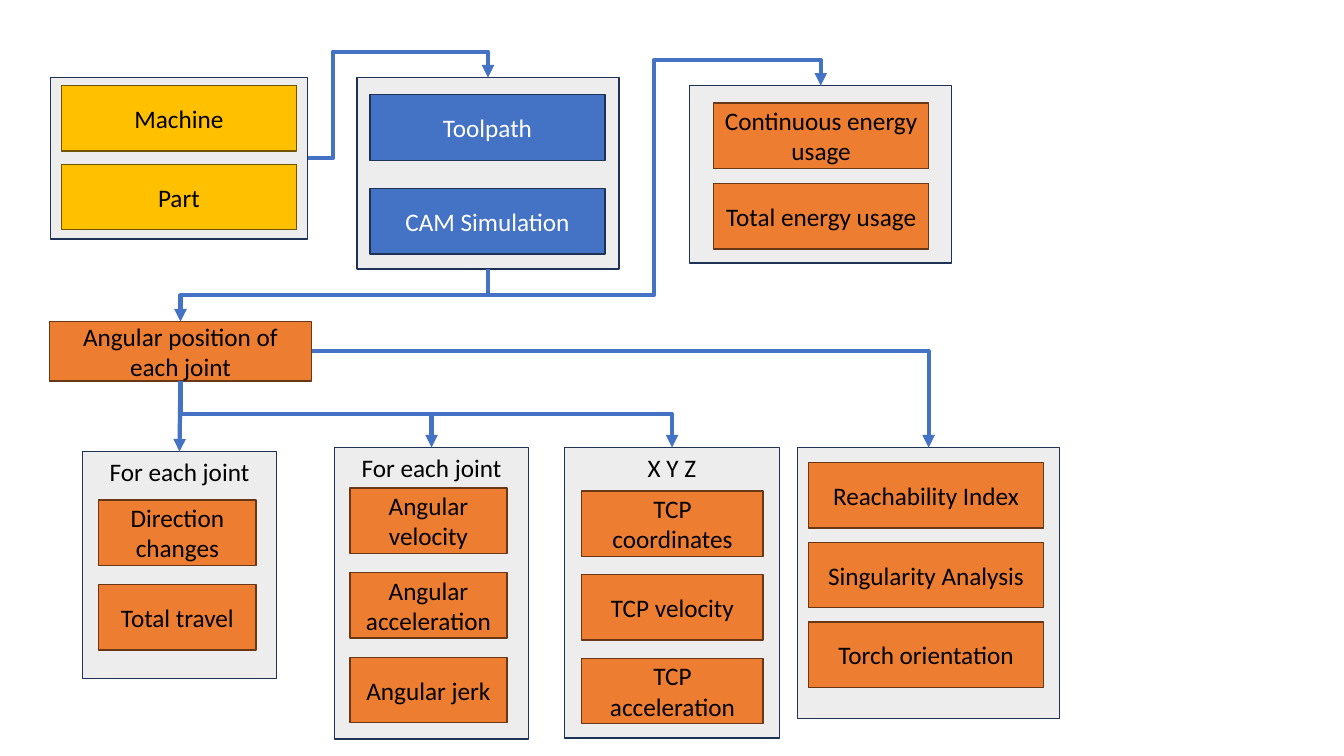
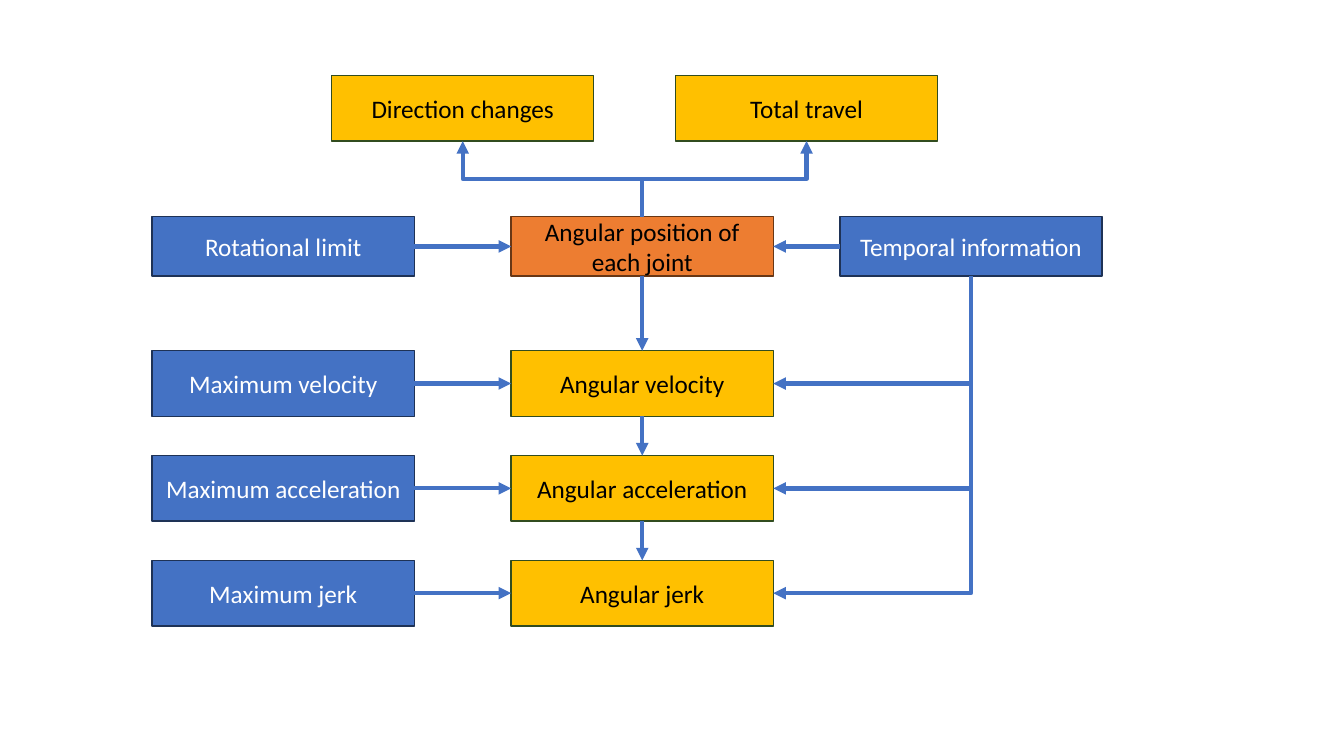
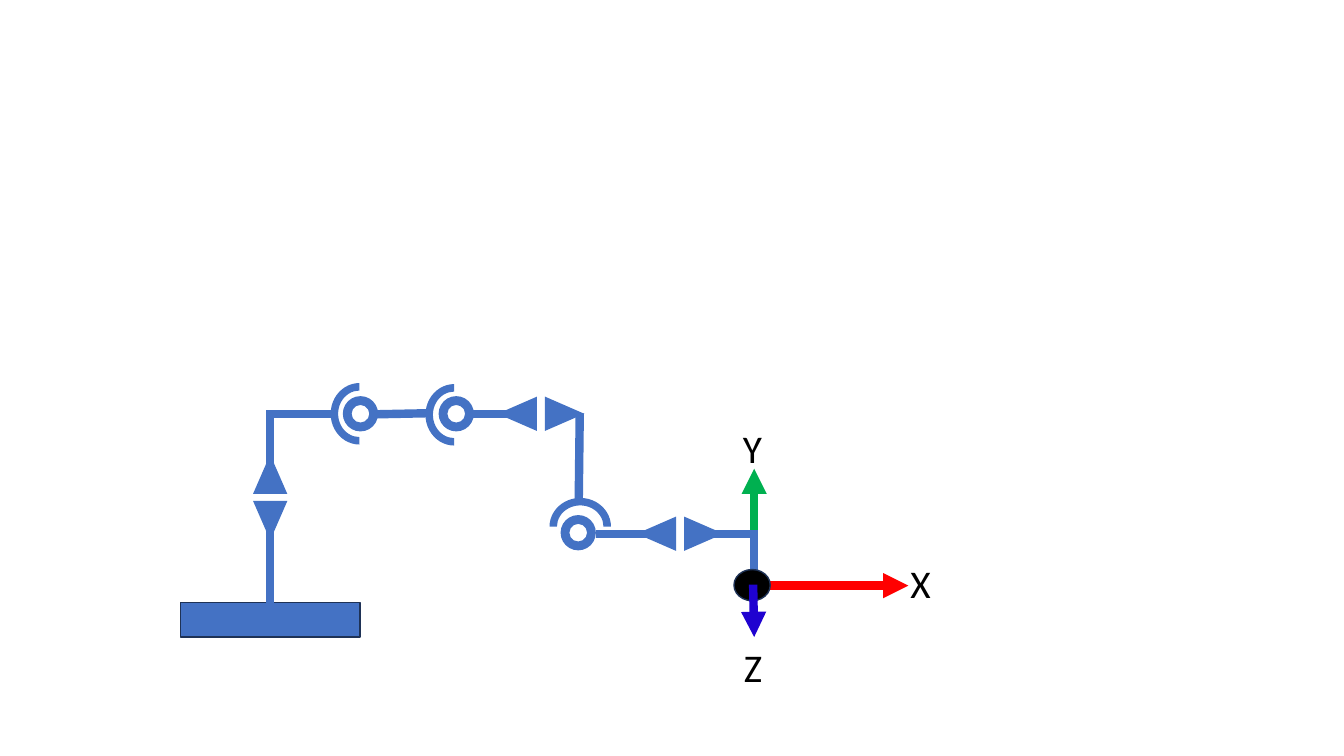
from lxml.etree import SubElement
from pptx import Presentation
from pptx.dml.color import RGBColor
from pptx.enum.shapes import MSO_CONNECTOR, MSO_SHAPE
from pptx.enum.text import MSO_ANCHOR, MSO_AUTO_SIZE, PP_ALIGN
from pptx.oxml.ns import qn
from pptx.util import Inches, Pt

FONT = "Calibri"
BLUE, NAVY, BLACK, WHITE = "4472C4", "1E3256", "000000", "FFFFFF"
RED, GREEN, VIOLET = "FF0000", "00B050", "1F02D0"
PANEL_GREY, PANEL_OPACITY = "D0CECE", 36000
TOP, LEFT, BOTTOM, RIGHT = range(4)
YELLOW_STYLE = ("FFC000", "705400", BLACK)
RESULT_STYLE = ("FFC000", "314C1F", BLACK)
ORANGE_STYLE = ("ED7D31", "683715", BLACK)
BLUE_STYLE = (BLUE, NAVY, WHITE)
ITEM_HEIGHT = 0.65


def rgb(code):
    """Turn a hex string into a colour."""
    return RGBColor.from_string(code)


def add_text(frame, text, size, color, align):
    """Write one line of formatted text into a frame."""
    paragraph = frame.paragraphs[0]
    paragraph.alignment = align
    run = paragraph.add_run()
    run.text = text
    run.font.name = FONT
    run.font.size = Pt(size)
    run.font.color.rgb = rgb(color)


def add_outline(slide, preset, box, fill, edge=None, rotation=0):
    """Draw a preset shape with a plain fill and an optional edge."""
    shape = slide.shapes.add_shape(preset, *map(Inches, box))
    shape.shadow.inherit = False
    shape.fill.solid()
    shape.fill.fore_color.rgb = rgb(fill)
    shape.rotation = rotation
    if edge:
        shape.line.color.rgb = rgb(edge)
        shape.line.width = Pt(1)
    else:
        shape.line.fill.background()
    return shape


def add_item(slide, box, text, style):
    """Draw a labelled rectangle of the flow chart."""
    fill, edge, color = style
    item = add_outline(slide, MSO_SHAPE.RECTANGLE, box, fill, edge)
    item.text_frame.word_wrap = True
    add_text(item.text_frame, text, 18, color, PP_ALIGN.CENTER)
    return item


def add_panel(slide, box, inset, item_width, step, entries, style, caption=None):
    """Draw a pale panel with a column of items inside it."""
    panel = add_outline(slide, MSO_SHAPE.RECTANGLE, box, PANEL_GREY, NAVY)
    tint = panel.fill._xPr.find(qn("a:solidFill"))[0]
    SubElement(tint, qn("a:alpha")).set("val", str(PANEL_OPACITY))
    if caption:
        panel.text_frame.word_wrap = True
        panel.text_frame.vertical_anchor = MSO_ANCHOR.TOP
        add_text(panel.text_frame, caption, 18, BLACK, PP_ALIGN.CENTER)
    left, top = box[0] + inset[0], box[1] + inset[1]
    for row, entry in enumerate(entries):
        add_item(slide, (left, top + row * step, item_width, ITEM_HEIGHT), entry, style)
    return panel


def style_line(line, color, width, arrow):
    """Colour a connector, drop its shadow and add its arrowhead."""
    line.line.color.rgb = rgb(color)
    line.line.width = Pt(width)
    if arrow:
        SubElement(line.line._get_or_add_ln(), qn("a:tailEnd")).set("type", "triangle")
    SubElement(line._element.spPr, qn("a:effectLst"))


def join(slide, kind, source, source_side, target, target_side):
    """Connect the sides of two rectangles with an arrow."""
    arrow = slide.shapes.add_connector(kind, 0, 0, 0, 0)
    arrow.begin_connect(source, source_side)
    arrow.end_connect(target, target_side)
    style_line(arrow, BLUE, 3, True)
    return arrow


def add_arrow(slide, source, source_side, target, target_side):
    """Join two rectangles with a straight arrow."""
    join(slide, MSO_CONNECTOR.STRAIGHT, source, source_side, target, target_side)


def add_elbow(slide, source, source_side, target, target_side, *bends):
    """Join two rectangles with a bent arrow, each bend a share of the span."""
    elbow = join(slide, MSO_CONNECTOR.ELBOW, source, source_side, target, target_side)
    across, down = elbow.end_x - elbow.begin_x, elbow.end_y - elbow.begin_y
    center_x = (elbow.begin_x + elbow.end_x) // 2
    center_y = (elbow.begin_y + elbow.end_y) // 2
    width, height = abs(across), abs(down)
    flips, turn = (across < 0, down < 0), 0
    if source_side in (TOP, BOTTOM):
        width, height = height, width
        flips, turn = (down < 0, across > 0), 90
    elbow.left, elbow.top = center_x - width // 2, center_y - height // 2
    elbow.width, elbow.height = width, height
    frame = elbow._element.spPr.find(qn("a:xfrm"))
    frame.set("rot", str(turn * 60000))
    for name, flipped in zip(("flipH", "flipV"), flips):
        frame.set(name, str(int(flipped)))
    geometry = elbow._element.spPr.find(qn("a:prstGeom"))
    geometry.set("prst", f"bentConnector{len(bends) + 2}")
    guides = geometry.find(qn("a:avLst"))
    for number, bend in enumerate(bends, 1):
        guide = SubElement(guides, qn("a:gd"))
        guide.set("name", f"adj{number}")
        guide.set("fmla", f"val {round(bend * 100000)}")


def build_overview(slide):
    """Lay out the flow from inputs through simulation to results."""
    inputs = add_panel(slide, (0.5, 0.77, 2.55, 1.6), (0.11, 0.08), 2.33, 0.78,
                       ["Machine", "Part"], YELLOW_STYLE)
    simulation = add_panel(slide, (3.54, 0.77, 2.6, 1.9), (0.13, 0.17), 2.33, 0.93,
                           ["Toolpath", "CAM Simulation"], BLUE_STYLE)
    energy = add_panel(slide, (6.84, 0.85, 2.6, 1.76), (0.24, 0.17), 2.13, 0.8,
                       ["Continuous energy usage", "Total energy usage"], ORANGE_STYLE)
    position = add_item(slide, (0.49, 3.19, 2.6, 0.59),
                        "Angular position of each joint", ORANGE_STYLE)
    travel = add_panel(slide, (0.82, 4.48, 1.92, 2.25), (0.16, 0.48), 1.56, 0.84,
                       ["Direction changes", "Total travel"],
                       ORANGE_STYLE, "For each joint")
    motion = add_panel(slide, (3.32, 4.44, 1.92, 2.89), (0.15, 0.4), 1.56, 0.84,
                       ["Angular velocity", "Angular acceleration", "Angular jerk"],
                       ORANGE_STYLE, "For each joint")
    tool_center = add_panel(slide, (5.6, 4.44, 2.13, 2.88), (0.17, 0.43), 1.8, 0.83,
                            ["TCP coordinates", "TCP velocity", "TCP acceleration"],
                            ORANGE_STYLE, "X Y Z")
    reach = add_panel(slide, (7.91, 4.44, 2.6, 2.69), (0.11, 0.15), 2.33, 0.79,
                      ["Reachability Index", "Singularity Analysis", "Torch orientation"],
                      ORANGE_STYLE)
    add_elbow(slide, inputs, RIGHT, simulation, TOP, 0.14, 1.32)
    add_elbow(slide, simulation, BOTTOM, position, TOP, 0.5)
    add_elbow(slide, simulation, BOTTOM, energy, TOP, -0.14, 0.5, 1.14)
    add_elbow(slide, position, BOTTOM, tool_center, TOP, 0.5)
    add_elbow(slide, position, BOTTOM, motion, TOP, 0.5)
    add_elbow(slide, position, RIGHT, reach, TOP)
    add_arrow(slide, position, BOTTOM, travel, TOP)


def build_derivation(slide):
    """Lay out how joint values follow from position, limits and time."""
    width, limit_left, joint_left, time_left = 2.6, 1.51, 5.07, 8.33
    row_top, row_height = 2.15, 0.59
    position = add_item(slide, (joint_left, row_top, width, row_height),
                        "Angular position of each joint", ORANGE_STYLE)
    timing = add_item(slide, (time_left, row_top, width, row_height),
                      "Temporal information", BLUE_STYLE)
    rotation = add_item(slide, (limit_left, row_top, width, row_height),
                        "Rotational limit", BLUE_STYLE)
    add_arrow(slide, rotation, RIGHT, position, LEFT)
    add_arrow(slide, timing, LEFT, position, RIGHT)
    previous = position
    for row, quantity in enumerate(("velocity", "acceleration", "jerk")):
        top = 3.48 + 1.04 * row
        angular = add_item(slide, (joint_left, top, width, ITEM_HEIGHT),
                           f"Angular {quantity}", RESULT_STYLE)
        maximum = add_item(slide, (limit_left, top, width, ITEM_HEIGHT),
                           f"Maximum {quantity}", BLUE_STYLE)
        add_arrow(slide, maximum, RIGHT, angular, LEFT)
        add_arrow(slide, previous, BOTTOM, angular, TOP)
        add_elbow(slide, timing, BOTTOM, angular, RIGHT)
        previous = angular
    for left, summary in ((3.29, "Direction changes"), (6.7, "Total travel")):
        outcome = add_item(slide, (left, 0.75, width, ITEM_HEIGHT), summary, RESULT_STYLE)
        add_elbow(slide, position, TOP, outcome, BOTTOM, 0.5)


def add_link(slide, start, end, color=BLUE, arrow=False):
    """Draw a thick straight link of the robot or an axis arrow."""
    link = slide.shapes.add_connector(MSO_CONNECTOR.STRAIGHT, *map(Inches, start + end))
    style_line(link, color, 6, arrow)
    return link


def add_twist_joint(slide, left, top, vertical=False):
    """Draw two triangles that point away from each other."""
    shift = (0, 0.46) if vertical else (0.47, 0)
    turns = (0, 180) if vertical else (270, 90)
    for side, turn in enumerate(turns):
        box = (left + side * shift[0], top + side * shift[1], 0.34, 0.39)
        add_outline(slide, MSO_SHAPE.ISOSCELES_TRIANGLE, box, BLUE, rotation=turn)


def add_hinge_joint(slide, left, top, ring_shift, turn):
    """Draw a ring with an arc around one half of it."""
    ring_box = (left + ring_shift[0], top + ring_shift[1], 0.35, 0.35)
    add_outline(slide, MSO_SHAPE.DONUT, ring_box, BLUE)
    arc = add_outline(slide, MSO_SHAPE.BLOCK_ARC, (left, top, 0.61, 0.57), BLUE, rotation=turn)
    for index, value in enumerate((108, 0, 0.13)):
        arc.adjustments[index] = value


def add_axis_label(slide, left, top, text):
    """Write the letter of an axis."""
    label = slide.shapes.add_textbox(*map(Inches, (left, top, 0.39, 0.57)))
    label.text_frame.word_wrap = False
    label.text_frame.auto_size = MSO_AUTO_SIZE.SHAPE_TO_FIT_TEXT
    add_text(label.text_frame, text, 28, BLACK, PP_ALIGN.LEFT)


def build_robot(slide):
    """Draw the joint scheme of the robot and its tool axes."""
    add_link(slide, (7.6, 5.81), (9.01, 5.81), RED, True)
    add_link(slide, (7.48, 5.77), (7.48, 4.65), GREEN, True)
    base = add_outline(slide, MSO_SHAPE.RECTANGLE, (1.79, 5.98, 1.78, 0.34), BLUE, NAVY)
    add_link(slide, (2.68, 5.98), (2.68, 4.97)).begin_connect(base, TOP)
    for start, end in (
        ((2.68, 4.65), (2.68, 4.09)),
        ((3.31, 4.11), (2.64, 4.11)),
        ((3.74, 4.11), (4.24, 4.1)),
        ((5.03, 4.11), (4.66, 4.11)),
        ((5.75, 4.1), (5.74, 4.98)),
        ((6.41, 5.3), (5.91, 5.3)),
        ((7.06, 5.3), (7.52, 5.3)),
        ((7.48, 5.78), (7.48, 5.29)),
    ):
        add_link(slide, start, end)
    add_twist_joint(slide, 2.51, 4.51, vertical=True)
    add_twist_joint(slide, 4.96, 3.91)
    add_twist_joint(slide, 6.34, 5.1)
    add_hinge_joint(slide, 3.26, 3.82, (0.14, 0.11), 270)
    add_hinge_joint(slide, 4.2, 3.83, (0.15, 0.1), 270)
    add_hinge_joint(slide, 5.45, 4.94, (0.11, 0.17), 0)
    add_outline(slide, MSO_SHAPE.OVAL, (7.28, 5.65, 0.36, 0.31), BLACK, NAVY)
    add_link(slide, (7.47, 5.8), (7.48, 6.32), VIOLET, True)
    add_axis_label(slide, 8.93, 5.5, "X")
    add_axis_label(slide, 7.27, 4.16, "Y")
    add_axis_label(slide, 7.28, 6.33, "Z")


def main():
    """Build the presentation and save it."""
    deck = Presentation()
    deck.slide_width, deck.slide_height = Inches(13.33), Inches(7.5)
    blank = deck.slide_layouts[6]
    for build in (build_overview, build_derivation, build_robot):
        build(deck.slides.add_slide(blank))
    deck.save("out.pptx")


if __name__ == "__main__":
    main()
